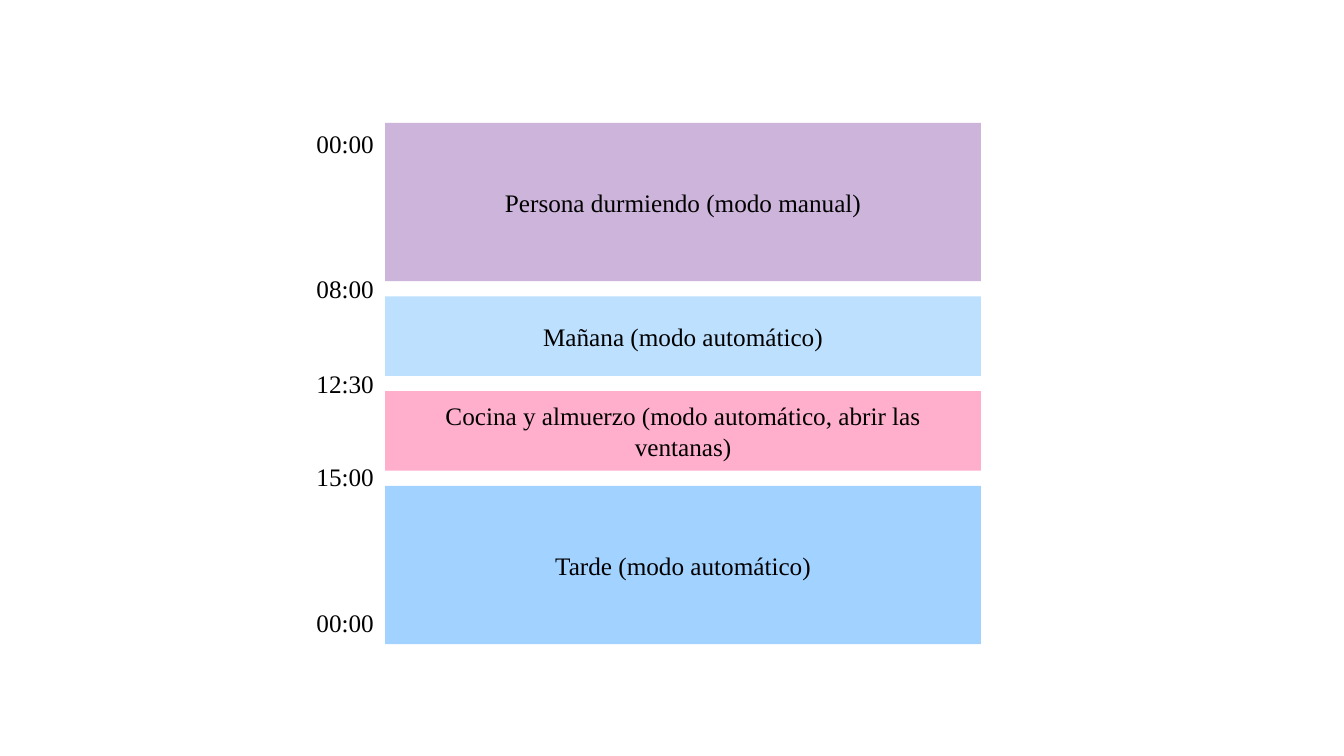
from pptx import Presentation
from pptx import util as u
from pptx.dml import color
from pptx.enum import shapes, text


def rgb(value):
    return color.RGBColor.from_string(value)


def write(shape, words):
    shape.text_frame.text = words
    font = shape.text_frame.paragraphs[0].runs[0].font
    font.name = "Times New Roman"
    font.size = u.Pt(18)
    font.color.rgb = rgb("000000")


presentation = Presentation()
presentation.slide_width = u.Inches(13.33)
presentation.slide_height = u.Inches(7.5)
slide = presentation.slides.add_slide(presentation.slide_layouts[6])

block_left, block_width, gap = 3.82, 5.91, 0.15
blocks = [
    ("Persona durmiendo (modo manual)", 1.57, "CDB4DB"),
    ("Mañana (modo automático)", 0.79, "BDE0FE"),
    ("Cocina y almuerzo (modo automático, abrir las ventanas)", 0.79, "FFAFCC"),
    ("Tarde (modo automático)", 1.57, "A2D2FF"),
]
top = 1.22
for activity, height, fill in blocks:
    block = slide.shapes.add_shape(
        shapes.MSO_SHAPE.RECTANGLE,
        u.Inches(block_left), u.Inches(top), u.Inches(block_width), u.Inches(height))
    block.shadow.inherit = False
    block.fill.solid()
    block.fill.fore_color.rgb = rgb(fill)
    block.line.fill.background()
    write(block, activity)
    block.text_frame.vertical_anchor = text.MSO_ANCHOR.MIDDLE
    block.text_frame.paragraphs[0].alignment = text.PP_ALIGN.CENTER
    top += height + gap

hour_width, hour_height = 0.78, 0.4
hours = [("00:00", 1.22), ("08:00", 2.66), ("12:30", 3.6), ("15:00", 4.53), ("00:00", 5.98)]
for hour, hour_top in hours:
    label = slide.shapes.add_textbox(
        u.Inches(block_left - hour_width), u.Inches(hour_top),
        u.Inches(hour_width), u.Inches(hour_height))
    write(label, hour)
    label.text_frame.word_wrap = False
    label.text_frame.auto_size = text.MSO_AUTO_SIZE.SHAPE_TO_FIT_TEXT

presentation.save("out.pptx")
